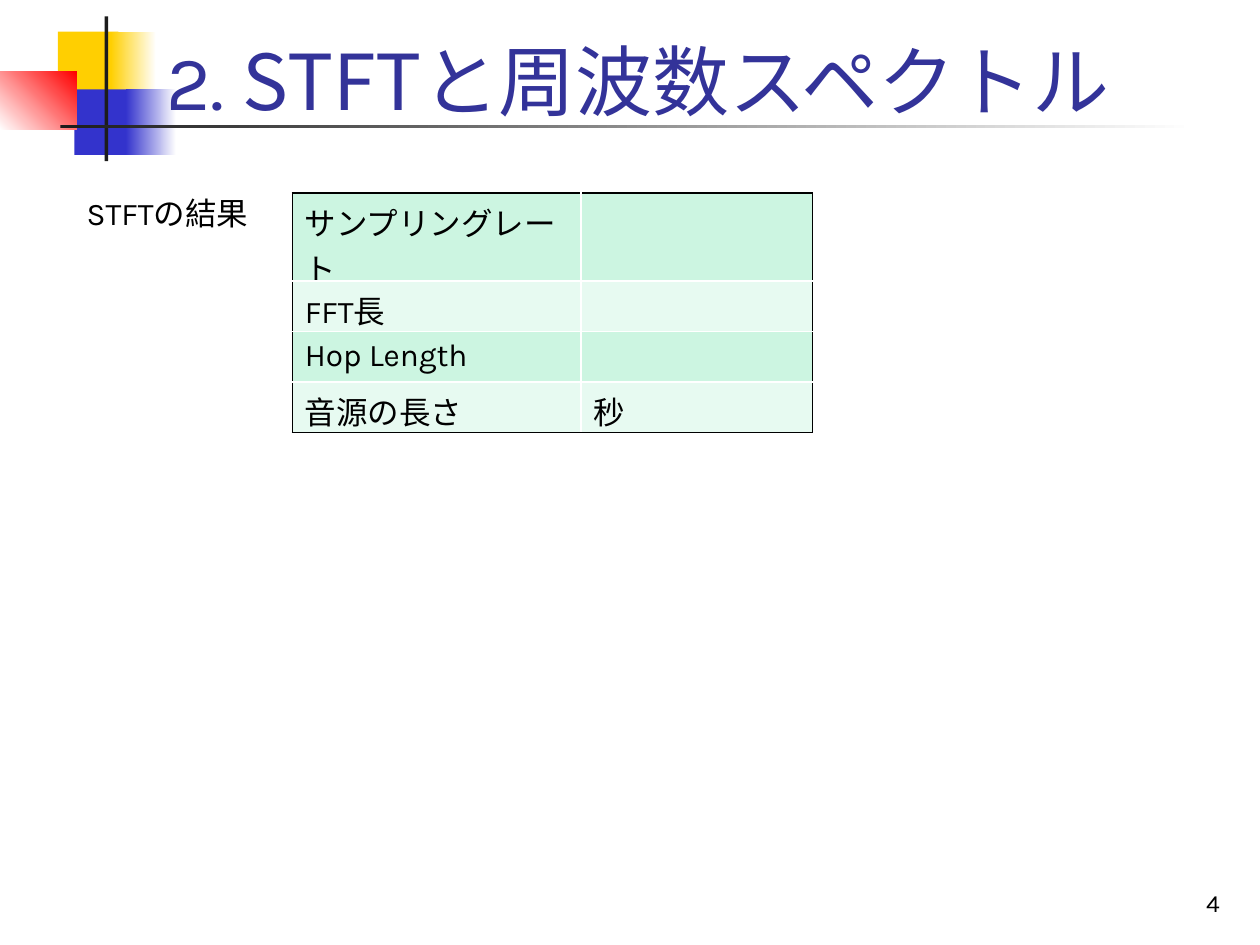
from lxml import etree
from pptx import Presentation
from pptx.dml.color import RGBColor
from pptx.enum import shapes, text
from pptx.oxml.ns import qn
from pptx.util import Inches, Pt

COLORS = {"yellow": "FFCF01", "blue": "3333CC", "red": "FF0000", "white": "FFFFFF",
          "ink": "1C1C1C", "title": "333399", "black": "000000",
          "band": "CCF5E1", "pale": "E7FAF1"}
LATIN, JAPANESE = "Karla", "Noto Sans CJK JP"


def rgb(name):
    """Return the named colour."""
    return RGBColor.from_string(COLORS[name])


def style_run(r, size, color="black", latin=LATIN):
    """Set size, colour and both the Latin and East Asian fonts of a run."""
    r.font.size, r.font.name = Pt(size), latin
    r.font.color.rgb = rgb(color)
    ea = etree.SubElement(r._r.get_or_add_rPr(), qn("a:ea"))
    ea.set("typeface", JAPANESE)


def add_block(s, box, start, end=None, angle=0):
    """Add a borderless rectangle, plain or fading from start to end."""
    sp = s.shapes.add_shape(shapes.MSO_SHAPE.RECTANGLE, *map(Inches, box))
    sp.shadow.inherit = False
    sp.line.fill.background()
    if end is None:
        sp.fill.solid()
        sp.fill.fore_color.rgb = rgb(start)
        return
    sp.fill.gradient()
    sp.fill.gradient_angle = angle
    for stop, name in zip(sp.fill.gradient_stops, (start, end)):
        stop.color.rgb = rgb(name)


def add_text(s, box, runs, size, color="black", anchor=text.MSO_ANCHOR.TOP,
             align=text.PP_ALIGN.LEFT):
    """Add a one-paragraph text box from (wording, font) pairs."""
    tf = s.shapes.add_textbox(*map(Inches, box)).text_frame
    tf.word_wrap, tf.vertical_anchor = True, anchor
    p = tf.paragraphs[0]
    p.alignment = align
    for wording, font in runs:
        r = p.add_run()
        r.text = wording
        style_run(r, size, color, font)


def add_ornament(s, left, top):
    """Draw the coloured blocks and the two crossing bars."""
    blocks = [
        ((0.46, 0.12, 0.48, 0.52), "yellow"),
        ((0.88, 0.12, 0.36, 0.52), "yellow", "white"),
        ((0.59, 0.58, 0.46, 0.52), "blue"),
        ((1, 0.58, 0.4, 0.52), "blue", "white"),
        ((0, 0.44, 0.61, 0.46), "white", "red", 45),
        ((0.83, 0, 0.03, 1.15), "ink"),
        ((0.48, 0.86, 9, 0.03), "ink", "white"),
    ]
    for (x, y, w, h), *paint in blocks:
        add_block(s, (left + x, top + y, w, h), *paint)


def set_borders(cell, sides):
    """Give a cell 1 pt borders from a side-to-colour mapping."""
    tc_pr = cell._tc.get_or_add_tcPr()
    for i, (side, name) in enumerate(sides.items()):
        ln = etree.Element(qn(f"a:ln{side}"), w=str(Pt(1)))
        fill = etree.SubElement(ln, qn("a:solidFill"))
        etree.SubElement(fill, qn("a:srgbClr"), val=COLORS[name])
        tc_pr.insert(i, ln)


def add_settings_table(s, box, widths, rows):
    """Add the banded table with a black frame and white inner lines."""
    last_row, last_col = len(rows) - 1, len(widths) - 1
    table = s.shapes.add_table(len(rows), len(widths), *map(Inches, box)).table
    for column, width in zip(table.columns, widths):
        column.width = Inches(width)
    for i, row in enumerate(rows):
        for j, wording in enumerate(row):
            cell = table.cell(i, j)
            cell.fill.solid()
            cell.fill.fore_color.rgb = rgb("pale" if i % 2 else "band")
            edges = {"L": j == 0, "R": j == last_col, "T": i == 0, "B": i == last_row}
            set_borders(cell, {k: "black" if outer else "white" for k, outer in edges.items()})
            cell.text_frame.text = wording
            for r in cell.text_frame.paragraphs[0].runs:
                style_run(r, 18)


def main():
    """Build the slide and save it."""
    prs = Presentation()
    prs.slide_width, prs.slide_height = Inches(10), Inches(7.5)
    s = prs.slides.add_slide(prs.slide_layouts[6])
    add_ornament(s, 0, 0.13)
    add_text(s, (1.22, 0.28, 8.62, 0.77),
             [("2. ", LATIN), ("STFTと周波数スペクトル", JAPANESE)],
             44, "title", text.MSO_ANCHOR.BOTTOM)
    add_text(s, (7.7, 6.83, 2.08, 0.5), [("4", LATIN)], 14,
             anchor=text.MSO_ANCHOR.BOTTOM, align=text.PP_ALIGN.RIGHT)
    add_text(s, (0.59, 1.49, 5.67, 0.4), [("STFTの結果", LATIN)], 18)
    add_settings_table(s, (2.32, 1.53, 4.13, 1.6), (2.29, 1.84), [
        ("サンプリングレート", ""), ("FFT長", ""),
        ("Hop Length", ""), ("音源の長さ", "秒")])
    prs.save("out.pptx")


if __name__ == "__main__":
    main()
